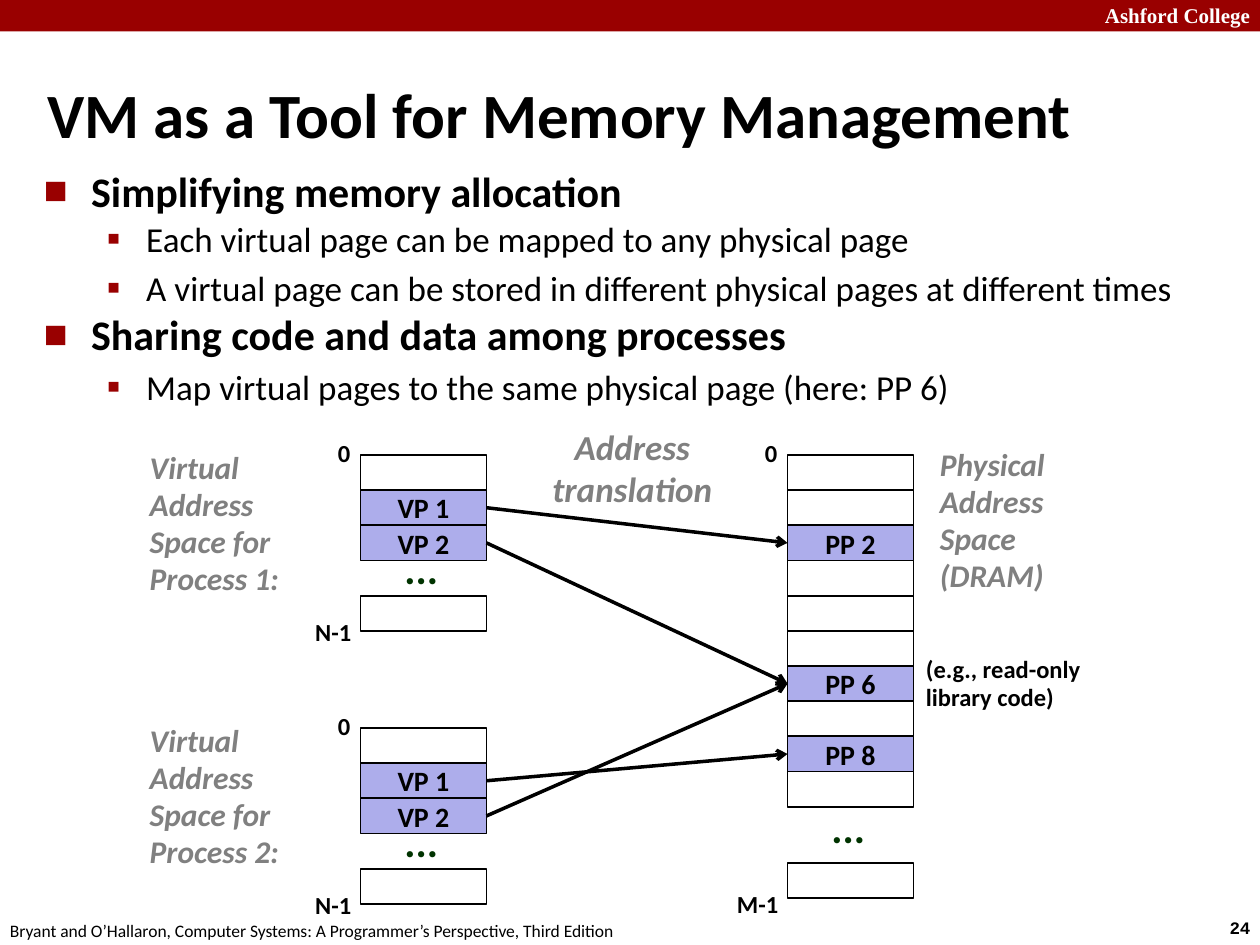
"""Build the slide on virtual memory as a tool for memory management."""
from lxml.etree import SubElement
from pptx import Presentation
from pptx.dml.color import RGBColor
from pptx.enum.shapes import MSO_CONNECTOR, MSO_SHAPE
from pptx.enum.text import MSO_ANCHOR, PP_ALIGN
from pptx.oxml.ns import qn
from pptx.util import Pt

RED, BLACK, WHITE = "990000", "000000", "FFFFFF"
GRAY, GREEN, LILAC = "808080", "003300", "ADADEB"

HEADER = "Ashford College"
FOOTER = "Bryant and O’Hallaron, Computer Systems: A Programmer’s Perspective, Third Edition"
PAGE_NUMBER = "24"
TITLE = "VM as a Tool for Memory Management"
BULLETS = [
    (0, "Simplifying memory allocation", 0.83),
    (1, "Each virtual page can be mapped to any physical page", 0.88),
    (1, "A virtual page can be stored in different physical pages at different times", None),
    (0, "Sharing code and data among processes", 0.83),
    (1, "Map virtual pages to the same physical page (here: PP 6)", None),
]
LEVELS = [
    dict(size=24, bold=True, before=4.8, margin=27, hang=27, mark="■", mark_size=60),
    dict(size=20, bold=False, before=4, margin=58.5, hang=22.5, mark="▪", mark_size=110),
]
PROCESSES = [("Process 1", 260), ("Process 2", 416)]
VIRTUAL_CELLS = {0: "", 1: "VP 1", 2: "VP 2", 4: ""}
PHYSICAL_CELLS = {row: f"PP {row}" if row in (2, 6, 8) else "" for row in range(10)}
PHYSICAL_CELLS[11.6] = ""
MAPPINGS = [
    ("Process 1", "VP 1", "PP 2"),
    ("Process 1", "VP 2", "PP 6"),
    ("Process 2", "VP 2", "PP 6"),
    ("Process 2", "VP 1", "PP 8"),
]
VIRTUAL_LEFT, PHYSICAL_LEFT, MEMORY_TOP = 206, 450, 260
CELL_WIDTH, CELL_HEIGHT = 72, 20.1


def color(value):
    return RGBColor.from_string(value)


def write(frame, text, size=14, font="Calibri", ink=BLACK, bold=True, italic=False,
          align=PP_ALIGN.LEFT, anchor=MSO_ANCHOR.TOP, wrap=False, spacing=None, before=0):
    """Write one paragraph per line of text and return the paragraphs."""
    frame.word_wrap = wrap
    frame.vertical_anchor = anchor
    paras = []
    for line in text.split("\n"):
        para = frame.add_paragraph() if frame.text else frame.paragraphs[0]
        para.alignment = align
        para.space_before = Pt(before)
        para.line_spacing = spacing
        span = para.add_run()
        span.text = line
        span.font.size, span.font.name = Pt(size), font
        span.font.bold, span.font.italic = bold, italic
        span.font.color.rgb = color(ink)
        paras.append(para)
    return paras


def add_text(left, top, width, height, text, **style):
    box = page.shapes.add_textbox(Pt(left), Pt(top), Pt(width), Pt(height))
    write(box.text_frame, text, **style)
    return box


def add_box(left, top, width, height, fill=None, line=None):
    box = page.shapes.add_shape(MSO_SHAPE.RECTANGLE, Pt(left), Pt(top), Pt(width), Pt(height))
    box.shadow.inherit = False
    if fill:
        box.fill.solid()
        box.fill.fore_color.rgb = color(fill)
    else:
        box.fill.background()
    if line:
        box.line.color.rgb = color(line)
        box.line.width = Pt(1)
    else:
        box.line.fill.background()
    return box


def add_bullet(para, margin, hang, mark, mark_size):
    properties = para._p.get_or_add_pPr()
    properties.set("marL", str(Pt(margin)))
    properties.set("indent", str(-Pt(hang)))
    tint = SubElement(properties, qn("a:buClr"))
    SubElement(tint, qn("a:srgbClr"), val=RED)
    SubElement(properties, qn("a:buSzPct"), val=str(mark_size * 1000))
    SubElement(properties, qn("a:buFont"), typeface="Calibri")
    SubElement(properties, qn("a:buChar"), char=mark)


def add_memory(left, top, cells, dots_row):
    """Draw a column of cells and return the middle height of each named cell."""
    middles = {}
    for row, name in cells.items():
        cell_top = top + row * CELL_HEIGHT
        cell = add_box(left, cell_top, CELL_WIDTH, CELL_HEIGHT, LILAC if name else None, BLACK)
        if name:
            write(cell.text_frame, name, size=16, align=PP_ALIGN.CENTER, anchor=MSO_ANCHOR.MIDDLE)
            middles[name] = cell_top + CELL_HEIGHT / 2
    add_text(left + 18, top + dots_row * CELL_HEIGHT, 34, 32, "...",
             size=24, ink=GREEN, spacing=0.88, before=9)
    add_text(left - 20, top - 12.3, 22, 24, "0", spacing=0.98)
    return middles


def add_arrow(start_y, end_y):
    arrow = page.shapes.add_connector(
        MSO_CONNECTOR.STRAIGHT, Pt(VIRTUAL_LEFT + CELL_WIDTH), Pt(start_y),
        Pt(PHYSICAL_LEFT), Pt(end_y))
    arrow.line.color.rgb = color(BLACK)
    arrow.line.width = Pt(2)
    SubElement(arrow.line._get_or_add_ln(), qn("a:tailEnd"), type="arrow")
    SubElement(arrow._element.spPr, qn("a:effectLst"))


deck = Presentation()
deck.slide_width, deck.slide_height = Pt(720), Pt(540)
page = deck.slides.add_slide(deck.slide_layouts[6])

add_box(0, 0, 720, 18, RED)
add_text(622, -2, 99.5, 21.6, HEADER, size=12, font="Times New Roman", ink=WHITE,
         align=PP_ALIGN.RIGHT)
add_text(695.5, 520.6, 32.4, 19.4, PAGE_NUMBER, size=10, font="Courier New")
add_text(-1.4, 522, 365.8, 19.4, FOOTER, size=10, bold=False)
add_text(20, 41.8, 678, 45.4, TITLE, size=36, anchor=MSO_ANCHOR.MIDDLE, wrap=True)

body = page.shapes.add_textbox(Pt(18), Pt(95.8), Pt(690), Pt(150)).text_frame
for level, text, spacing in BULLETS:
    look = LEVELS[level]
    para = write(body, text, size=look["size"], bold=look["bold"], before=look["before"],
                 spacing=spacing, wrap=True)[0]
    para.level = level
    add_bullet(para, look["margin"], look["hang"], look["mark"], look["mark_size"])

heading = dict(size=18, ink=GRAY, italic=True, spacing=0.98, wrap=True)
virtual = {}
for process, top in PROCESSES:
    add_text(78.5, top - 6.5, 108, 92, f"Virtual Address Space for {process}:", **heading)
    virtual[process] = add_memory(VIRTUAL_LEFT, top, VIRTUAL_CELLS, 2.5)
    add_text(VIRTUAL_LEFT - 33, top + 90, 35, 24, "N-1", spacing=0.98)

add_text(530, 252, 84, 93, "Physical\nAddress\nSpace (DRAM)", **heading)
physical = add_memory(PHYSICAL_LEFT, MEMORY_TOP, PHYSICAL_CELLS, 9.85)
add_text(PHYSICAL_LEFT - 36, 505.4, 38, 24, "M-1", spacing=0.98)
add_text(522, 370.8, 114.5, 40, "(e.g., read-only\nlibrary code)", spacing=0.98, wrap=True)

for process, source, target in MAPPINGS:
    add_arrow(virtual[process][source], physical[target])
add_text(308, 239.8, 106.6, 55.4, "Address\ntranslation", size=20, ink=GRAY, italic=True,
         align=PP_ALIGN.CENTER)

deck.save("out.pptx")
